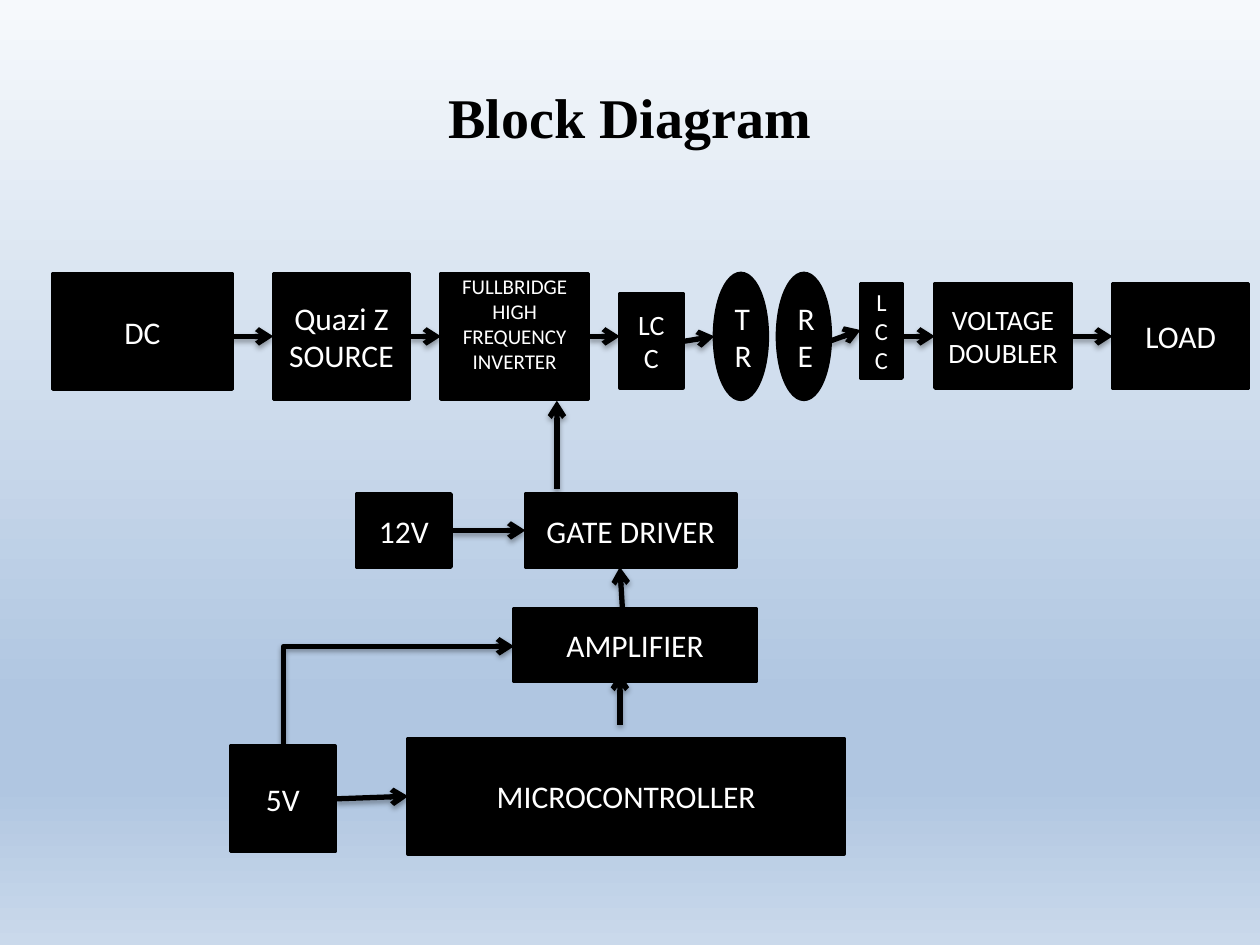
"""Builds the block diagram slide of a wireless power converter."""
from pptx import Presentation
from pptx.dml.color import RGBColor
from pptx.enum.shapes import MSO_CONNECTOR, MSO_SHAPE
from pptx.enum.text import MSO_ANCHOR, PP_ALIGN
from pptx.oxml import parse_xml
from pptx.oxml.ns import nsdecls, qn
from pptx.util import Inches, Pt

BLACK = RGBColor(0x00, 0x00, 0x00)
WHITE = RGBColor(0xFF, 0xFF, 0xFF)
SKY_STOPS = [
    (0, RGBColor(0xF6, 0xF9, 0xFC)),
    (74, RGBColor(0xB0, 0xC6, 0xE1)),
    (83, RGBColor(0xB0, 0xC6, 0xE1)),
    (100, RGBColor(0xCA, 0xD9, 0xEB)),
]
SHADOW = (
    f'<a:effectLst {nsdecls("a")}><a:outerShdw blurRad="{Pt(3.1)}" dist="{Pt(1.8)}" '
    'dir="5400000" rotWithShape="0"><a:srgbClr val="000000"><a:alpha val="35000"/>'
    '</a:srgbClr></a:outerShdw></a:effectLst>'
)


class Diagram:
    def __init__(self, page):
        self.page = page
        self.label = {"name": "Calibri", "bold": False}
        self.heading = {"name": "Times New Roman", "bold": True}

    def background(self, stops):
        fill = self.page.background.fill
        fill.gradient()
        fill.gradient_angle = 270
        stop_list = next(self.page.element.iter(qn("a:gsLst")))
        for stop in list(stop_list):
            stop_list.remove(stop)
        for position, color in stops:
            stop_list.append(parse_xml(
                f'<a:gs {nsdecls("a")} pos="{position * 1000}">'
                f'<a:srgbClr val="{color}"/></a:gs>'))

    def add_label(self, box, text, size, color, style):
        frame = box.text_frame
        frame.word_wrap = True
        frame.vertical_anchor = MSO_ANCHOR.MIDDLE
        para = frame.paragraphs[0]
        para.alignment = PP_ALIGN.CENTER
        span = para.add_run()
        span.text = text
        for name, value in {**style, "size": Pt(size)}.items():
            setattr(span.font, name, value)
        span.font.color.rgb = color

    def title(self, text, *place):
        box = self.page.shapes.add_textbox(*map(Inches, place))
        self.add_label(box, text, 32, BLACK, self.heading)

    def block(self, text, place, size=18, kind=MSO_SHAPE.RECTANGLE):
        box = self.page.shapes.add_shape(kind, *map(Inches, place))
        box.shadow.inherit = False
        box.fill.solid()
        box.fill.fore_color.rgb = BLACK
        box.line.color.rgb = BLACK
        box.line.width = Pt(2)
        self.add_label(box, text, size, WHITE, self.label)
        return box

    def arrow(self, *ends, kind=MSO_CONNECTOR.STRAIGHT):
        link = self.page.shapes.add_connector(kind, *map(Inches, ends))
        link.line.color.rgb = BLACK
        link.line.width = Pt(3)
        properties = link.element.spPr
        properties.find(qn("a:ln")).append(
            parse_xml(f'<a:tailEnd {nsdecls("a")} type="arrow"/>'))
        properties.append(parse_xml(SHADOW))
        return link

    def corner_arrow(self, x1, y1, x2, y2):
        middle_x, middle_y = (x1 + x2) / 2, (y1 + y2) / 2
        half_w, half_h = abs(y2 - y1) / 2, abs(x2 - x1) / 2
        link = self.arrow(middle_x + half_w, middle_y + half_h,
                          middle_x - half_w, middle_y - half_h,
                          kind=MSO_CONNECTOR.ELBOW)
        properties = link.element.spPr
        properties.find(qn("a:xfrm")).set("rot", "5400000")
        properties.find(qn("a:prstGeom")).set("prst", "bentConnector2")


deck = Presentation()
deck.slide_width, deck.slide_height = Inches(10), Inches(7.5)
diagram = Diagram(deck.slides.add_slide(deck.slide_layouts[6]))
diagram.background(SKY_STOPS)
diagram.title("Block Diagram", 0.5, 0.3, 9, 1.25)

diagram.block("DC", (0.42, 2.17, 1.42, 0.92))
diagram.block("Quazi Z SOURCE", (2.17, 2.17, 1.08, 1))
inverter = diagram.block("FULLBRIDGE HIGH FREQUENCY INVERTER", (3.5, 2.17, 1.17, 1), 12)
inverter.text_frame.margin_top = 0
inverter.text_frame.margin_bottom = Inches(0.2)
for coil, left in (("TR", 5.67), ("RE", 6.17)):
    diagram.block(coil, (left, 2.17, 0.42, 1), kind=MSO_SHAPE.OVAL)
diagram.block("VOLTAGE DOUBLER", (7.42, 2.25, 1.08, 0.83), 16)
diagram.block("LOAD", (8.83, 2.25, 1.08, 0.83))
diagram.block("MICROCONTROLLER", (3.24, 5.86, 3.46, 0.92))
diagram.block("AMPLIFIER", (4.08, 4.83, 1.92, 0.58))
diagram.block("GATE DRIVER", (4.17, 3.92, 1.67, 0.58))
diagram.block("5V", (1.83, 5.92, 0.83, 0.84))
diagram.block("12V", (2.83, 3.92, 0.75, 0.58))

MAIN_ROW = 2.67
for start, end in ((1.33, 2.17), (3.25, 3.5), (4.67, 4.92), (8.5, 8.83), (7.08, 7.42)):
    diagram.arrow(start, MAIN_ROW, end, MAIN_ROW)
for ends in (
    (4.42, 3.88, 4.42, 3.18),
    (3.58, 4.21, 4.17, 4.21),
    (2.67, 6.34, 3.24, 6.32),
    (4.94, 4.83, 4.92, 4.5),
    (4.92, 5.75, 4.92, 5.34),
):
    diagram.arrow(*ends)
diagram.corner_arrow(2.25, 5.92, 4.08, 5.13)

diagram.block("LCC", (4.92, 2.33, 0.5, 0.75), 16)
diagram.block("LCC", (6.83, 2.25, 0.33, 0.75), 14)
diagram.arrow(5.42, 2.71, 5.67, MAIN_ROW)
diagram.arrow(6.58, 2.71, 6.83, 2.62)

deck.save("out.pptx")
